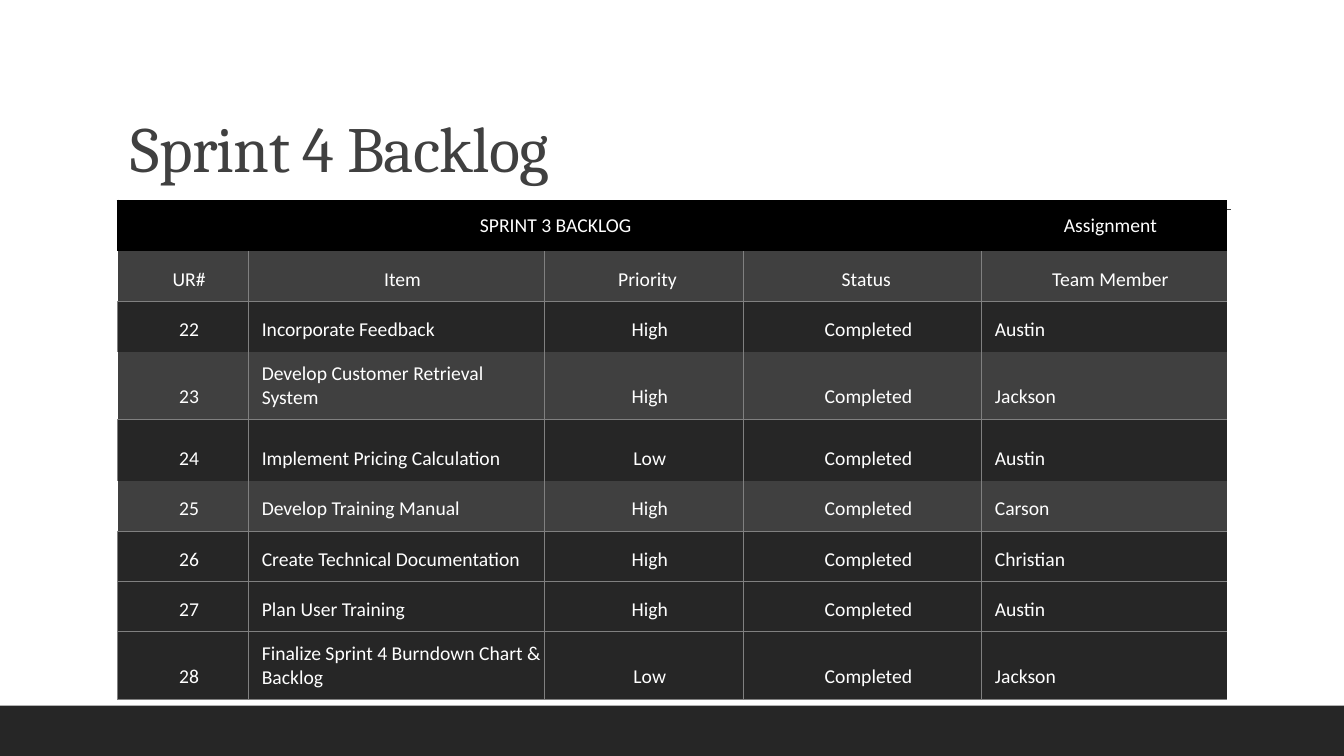
from lxml.etree import SubElement
from pptx import Presentation
from pptx.dml.color import RGBColor
from pptx.enum.shapes import MSO_CONNECTOR, MSO_SHAPE
from pptx.enum.text import MSO_ANCHOR, PP_ALIGN
from pptx.oxml.ns import qn
from pptx.util import Inches, Pt

BLACK, DARK, MID, GRID, WHITE = "000000", "262626", "404040", "808080", "FFFFFF"
COLUMNS = [9.75, 22, 14.8, 17.75, 18.25]
HEIGHTS = [6.67, 6.67, 6.67, 8.93, 8.1, 6.67, 6.67, 6.67, 8.93]
ITEMS = [
    ("22", "Incorporate Feedback", "High", "Austin"),
    ("23", "Develop Customer Retrieval System", "High", "Jackson"),
    ("24", "Implement Pricing Calculation", "Low", "Austin"),
    ("25", "Develop Training Manual", "High", "Carson"),
    ("26", "Create Technical Documentation", "High", "Christian"),
    ("27", "Plan User Training", "High", "Austin"),
    ("28", "Finalize Sprint 4 Burndown Chart & Backlog", "Low", "Jackson"),
]
BACKLOG = [
    ("SPRINT 3 BACKLOG", "", "", "", "Assignment"),
    ("UR#", "Item", "Priority ", "Status ", "Team Member"),
    *[(number, item, priority, "Completed", member)
      for number, item, priority, member in ITEMS],
]
HEADER = (BLACK, "LT", BLACK, 1.5)
LIGHT = (MID, "LRB", GRID, 0.5)
SHADED = (DARK, "LRT", GRID, 0.5)
BOXED = (DARK, "LRTB", GRID, 0.5)
ROW_STYLES = [HEADER, LIGHT, SHADED, LIGHT, SHADED, LIGHT, BOXED, BOXED, BOXED]


def rgb(value):
    return RGBColor.from_string(value)


class SlideBuilder:
    """Draws styled elements on one slide, placed in percent of its size."""

    title_font = {"name": "Cambria", "size": Pt(46)}
    cell_font = {"name": "Calibri", "size": Pt(14)}
    cell_format = {"margin_left": Inches(0.13), "margin_right": Inches(0.01),
                   "margin_top": Inches(0.1), "margin_bottom": Inches(0.1)}

    def __init__(self, prs):
        self.prs = prs
        self.s = prs.slides.add_slide(prs.slide_layouts[6])
        fill = self.s.background.fill
        fill.solid()
        fill.fore_color.rgb = rgb(WHITE)

    def x(self, share):
        return round(self.prs.slide_width * share / 100)

    def y(self, share):
        return round(self.prs.slide_height * share / 100)

    def box(self, left, top, width, height):
        return self.x(left), self.y(top), self.x(width), self.y(height)

    def apply(self, target, values):
        for name, value in values.items():
            setattr(target, name, value)

    def add_text(self, p, text, font, color):
        r = p.add_run()
        r.text = text
        self.apply(r.font, font)
        r.font.color.rgb = rgb(color)
        return r

    def title(self, text, *area):
        tf = self.s.shapes.add_textbox(*self.box(*area)).text_frame
        self.apply(tf, {"word_wrap": True, "vertical_anchor": MSO_ANCHOR.BOTTOM})
        p = tf.paragraphs[0]
        p.line_spacing = 0.9
        r = self.add_text(p, text, self.title_font, MID)
        r.font._element.set("spc", "-50")

    def bar(self, color, *area):
        sp = self.s.shapes.add_shape(MSO_SHAPE.RECTANGLE, *self.box(*area))
        sp.shadow.inherit = False
        sp.fill.solid()
        sp.fill.fore_color.rgb = rgb(color)
        sp.line.fill.background()

    def rule(self, color, left, right, top):
        line = self.s.shapes.add_connector(
            MSO_CONNECTOR.STRAIGHT, self.x(left), self.y(top), self.x(right), self.y(top))
        line.line.color.rgb = rgb(color)
        line.line.width = Pt(1)
        SubElement(line._element.spPr, qn("a:effectLst"))

    def borders(self, cell, sides, color, width):
        tcPr = cell._tc.get_or_add_tcPr()
        for side in "LRTB":
            ln = SubElement(tcPr, qn(f"a:ln{side}"), w=str(Pt(width)))
            if side in sides:
                fill = SubElement(ln, qn("a:solidFill"))
                SubElement(fill, qn("a:srgbClr"), val=color)
            else:
                SubElement(ln, qn("a:noFill"))

    def cell(self, cell, text, style, align, anchor, skipped):
        fill, sides, color, width = style
        self.borders(cell, set(sides) - set(skipped), color, width)
        cell.fill.solid()
        cell.fill.fore_color.rgb = rgb(fill)
        self.apply(cell, {**self.cell_format, "vertical_anchor": anchor})
        p = cell.text_frame.paragraphs[0]
        p.alignment = align
        if text:
            self.add_text(p, text, self.cell_font, WHITE)

    def table(self, rows, styles, widths, heights, left, top):
        area = self.box(left, top, sum(widths), sum(heights))
        table = self.s.shapes.add_table(len(rows), len(widths), *area).table
        self.apply(table, {"first_row": False, "horz_banding": False})
        for column, width in zip(table.columns, widths):
            column.width = self.x(width)
        for row, height in zip(table.rows, heights):
            row.height = self.y(height)
        last = len(widths) - 1
        for i, (texts, style) in enumerate(zip(rows, styles)):
            anchor = MSO_ANCHOR.BOTTOM if i else MSO_ANCHOR.MIDDLE
            for j, text in enumerate(texts):
                skipped = "R" if j == last else ""
                if (style is LIGHT and j == 0) or (style is HEADER and j > 0):
                    skipped += "L"
                left_aligned = i > 1 and j in (1, last)
                align = PP_ALIGN.LEFT if left_aligned else PP_ALIGN.CENTER
                self.cell(table.cell(i, j), text, style, align, anchor, skipped)
        table.cell(0, 0).merge(table.cell(0, last - 1))


def main():
    prs = Presentation()
    prs.slide_width, prs.slide_height = Inches(13.33), Inches(7.5)
    slide = SlideBuilder(prs)
    slide.title("Sprint 4 Backlog", 9, 4.13, 82.5, 21.2)
    slide.rule(MID, 9.83, 91.6, 27.73)
    slide.bar(DARK, 0, 93.33, 100, 6.67)
    slide.table(BACKLOG, ROW_STYLES, COLUMNS, HEIGHTS, 8.75, 26.53)
    prs.save("out.pptx")


if __name__ == "__main__":
    main()
